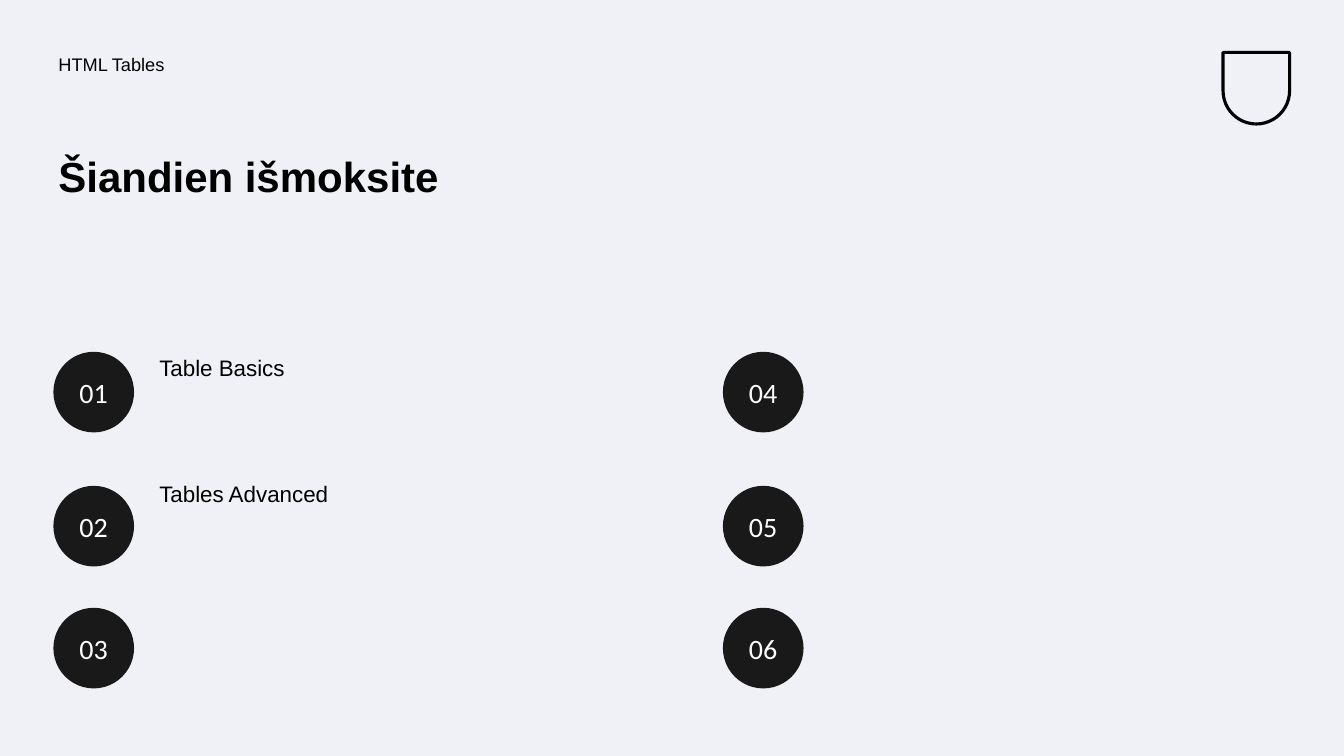
"""Build the lesson agenda slide with six numbered topics."""
from dataclasses import dataclass

from pptx import Presentation
from pptx.dml.color import RGBColor
from pptx.enum.shapes import MSO_SHAPE
from pptx.enum.text import MSO_ANCHOR, PP_ALIGN
from pptx.util import Inches, Pt


@dataclass(frozen=True)
class Theme:
    background: RGBColor = RGBColor(0xF0, 0xF1, 0xF6)
    ink: RGBColor = RGBColor(0, 0, 0)
    badge: RGBColor = RGBColor(0x19, 0x19, 0x19)
    badge_text: RGBColor = RGBColor(0xFE, 0xFF, 0xFF)
    body_font: str = "Arial"
    badge_font: str = "Calibri"
    label_size: int = 13
    title_size: int = 30
    topic_size: int = 16
    badge_size: int = 20
    emblem_line: float = 2.25


class AgendaSlide:
    def __init__(self, slide, theme):
        self.slide = slide
        self.theme = theme
        fill = slide.background.fill
        fill.solid()
        fill.fore_color.rgb = theme.background

    def fill_frame(self, frame, text, size, font, color, bold=False, **frame_format):
        margins = dict.fromkeys(
            ("margin_left", "margin_top", "margin_right", "margin_bottom"), Inches(0.05)
        )
        for key, value in {**margins, **frame_format}.items():
            setattr(frame, key, value)
        paragraph = frame.paragraphs[0]
        run = paragraph.add_run()
        run.text = text
        for key, value in {"size": Pt(size), "name": font, "bold": bold}.items():
            setattr(run.font, key, value)
        run.font.color.rgb = color
        return paragraph

    def text(self, text, left, top, width, height, size, bold=False):
        box = self.slide.shapes.add_textbox(*map(Inches, (left, top, width, height)))
        paragraph = self.fill_frame(
            box.text_frame, text, size, self.theme.body_font, self.theme.ink, bold,
            word_wrap=True, vertical_anchor=MSO_ANCHOR.TOP,
        )
        paragraph.line_spacing = 0.9

    def badge(self, number, left, top, diameter=0.8):
        circle = self.slide.shapes.add_shape(
            MSO_SHAPE.OVAL, *map(Inches, (left, top, diameter, diameter))
        )
        circle.shadow.inherit = False
        circle.fill.solid()
        circle.fill.fore_color.rgb = self.theme.badge
        circle.line.fill.background()
        paragraph = self.fill_frame(
            circle.text_frame, f"{number:02d}", self.theme.badge_size,
            self.theme.badge_font, self.theme.badge_text,
            word_wrap=False, vertical_anchor=MSO_ANCHOR.MIDDLE,
        )
        paragraph.alignment = PP_ALIGN.CENTER

    def emblem(self, left, top, width, height):
        shield = self.slide.shapes.add_shape(
            MSO_SHAPE.ROUND_2_SAME_RECTANGLE, *map(Inches, (left, top, width, height))
        )
        shield.shadow.inherit = False
        shield.rotation = 180
        shield.adjustments[0] = 0.5
        shield.fill.background()
        shield.line.color.rgb = self.theme.ink
        shield.line.width = Pt(self.theme.emblem_line)


presentation = Presentation()
presentation.slide_width = Inches(13.33)
presentation.slide_height = Inches(7.5)
theme = Theme()
agenda = AgendaSlide(
    presentation.slides.add_slide(presentation.slide_layouts[6]), theme
)

left_edge = 0.53
agenda.emblem(12.13, 0.52, 0.66, 0.71)
agenda.text("HTML Tables", left_edge, 0.5, 6.14, 0.5, theme.label_size)
agenda.text("Šiandien išmoksite", left_edge, 1.5, 5.64, 1.49, theme.title_size, bold=True)

for topic, topic_top in (("Table Basics", 3.49), ("Tables Advanced", 4.74)):
    agenda.text(topic, left_edge + 1, topic_top, 4.63, 0.99, theme.topic_size)

badge_tops = (3.49, 4.82, 6.03)
for column, badge_left in enumerate((left_edge, 7.17)):
    for row, badge_top in enumerate(badge_tops, start=1):
        agenda.badge(column * len(badge_tops) + row, badge_left, badge_top)

presentation.save("out.pptx")
